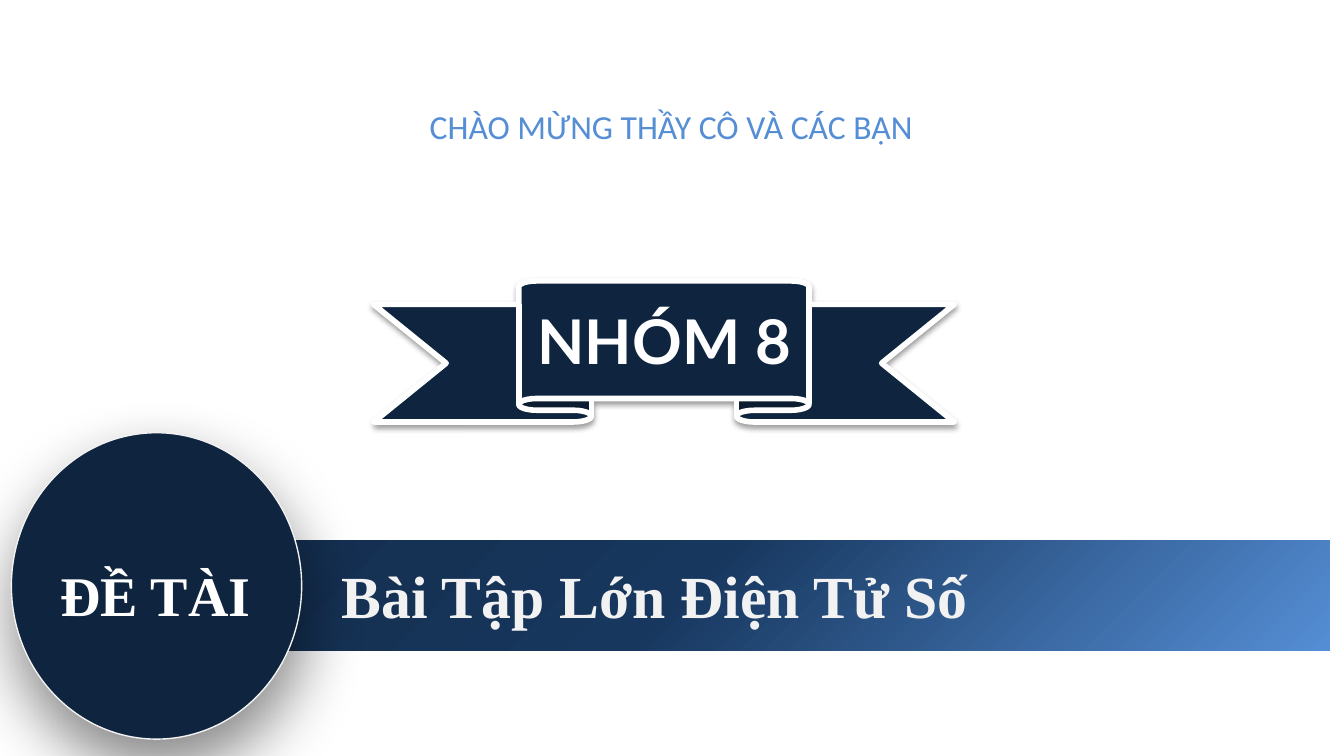
"""Build the welcome slide of group 8 with its ribbon and topic banner."""
from dataclasses import dataclass
from typing import Optional

import pptx
import pptx.dml.color
import pptx.enum.shapes
import pptx.enum.text
import pptx.oxml
import pptx.oxml.ns
import pptx.util

WIDTH = 10
HEIGHT = WIDTH * 9 / 16
NAVY, WHITE, PALE, SKY = "0F243E", "FFFFFF", "F2F2F2", "558ED5"
BANNER_STOPS = ((0, SKY), (61, "17375E"), (100, "142E4F"))
SERIF = "Times New Roman"
KINDS = pptx.enum.shapes.MSO_SHAPE
ALIGN = pptx.enum.text.PP_ALIGN
ANCHOR = pptx.enum.text.MSO_ANCHOR


@dataclass
class Place:
    """A rectangle given in percent of the slide's width and height."""
    left: float
    top: float
    width: float
    height: float

    def lengths(self) -> tuple:
        """Return left, top, width and height as slide lengths."""
        shares = (self.left, self.top, self.width, self.height)
        sizes = (WIDTH, HEIGHT, WIDTH, HEIGHT)
        return tuple(pptx.util.Inches(share * size / 100)
                     for share, size in zip(shares, sizes))


@dataclass
class Shadow:
    """An outer shadow: opacity in percent, blur and distance in points, angle in degrees."""
    opacity: int
    blur: float
    distance: float
    angle: int


@dataclass
class Figure:
    """A preset shape; without a fill it takes the banner gradient."""
    kind: KINDS
    place: Place
    outline: str
    weight: float
    fill: Optional[str] = None
    shadow: Optional[Shadow] = None


@dataclass
class Label:
    """A single line of text."""
    text: str
    place: Place
    font: dict
    colour: str
    align: ALIGN = ALIGN.LEFT
    is_title: bool = False


FIGURES = (
    Figure(KINDS.RECTANGLE, Place(20.6, 71.29, 78.4, 14.93), WHITE, 0.75),
    Figure(KINDS.OVAL, Place(0.85, 57.24, 21.6, 40.53), PALE, 0.75, NAVY,
           Shadow(48, 35, 15, 87)),
    Figure(KINDS.UP_RIBBON, Place(27.8, 37.16, 43.2, 18.67), WHITE, 3, NAVY,
           Shadow(38, 3.1, 1.6, 90)),
)
LABELS = (
    Label("CHÀO MỪNG THẦY CÔ VÀ CÁC BẠN", Place(4.3, 13.16, 91.3, 11.38),
          {"name": "Calibri", "size": pptx.util.Pt(18), "bold": False}, SKY, ALIGN.CENTER),
    Label("ĐỀ TÀI", Place(3.5, 73.3, 16.9, 10.84),
          {"name": SERIF, "size": pptx.util.Pt(30), "bold": True}, WHITE),
    Label("NHÓM 8", Place(39, 39.2, 24.9, 11.73),
          {"name": "Lato", "size": pptx.util.Pt(33), "bold": True}, WHITE),
    Label("Bài Tập Lớn Điện Tử Số", Place(24.4, 54.4, 68.3, 30.58),
          {"name": SERIF, "size": pptx.util.Pt(32), "bold": True}, PALE, is_title=True),
)


def colour_of(value: str) -> pptx.dml.color.RGBColor:
    """Turn a hex string into a colour."""
    return pptx.dml.color.RGBColor.from_string(value)


def element_of(xml: str):
    """Parse drawing XML whose namespace is filled in at the marker."""
    return pptx.oxml.parse_xml(xml.replace("NS", pptx.oxml.ns.nsdecls("a"), 1))


def banner_gradient():
    """Return a gradient that spreads in circles from the bottom right corner."""
    stops = "".join(f'<a:gs pos="{position * 1000}"><a:srgbClr val="{colour}"/></a:gs>'
                    for position, colour in BANNER_STOPS)
    return element_of(f'<a:gradFill NS rotWithShape="1"><a:gsLst>{stops}</a:gsLst>'
                      '<a:path path="circle"><a:fillToRect l="100000" t="100000"/></a:path>'
                      '</a:gradFill>')


def shadow_effect(shadow: Shadow):
    """Return the effect list of an outer shadow."""
    blur, distance = (int(pptx.util.Pt(size)) for size in (shadow.blur, shadow.distance))
    return element_of(f'<a:effectLst NS><a:outerShdw blurRad="{blur}" dist="{distance}" '
                      f'dir="{shadow.angle * 60000}" algn="ctr" rotWithShape="0">'
                      f'<a:srgbClr val="000000"><a:alpha val="{shadow.opacity * 1000}"/>'
                      '</a:srgbClr></a:outerShdw></a:effectLst>')


def draw_figure(page, figure: Figure) -> None:
    """Add a preset shape with its fill, outline and shadow."""
    shape = page.shapes.add_shape(figure.kind, *figure.place.lengths())
    properties = shape.element.spPr
    if figure.fill:
        shape.fill.solid()
        shape.fill.fore_color.rgb = colour_of(figure.fill)
    else:
        properties.insert(2, banner_gradient())
    shape.line.color.rgb = colour_of(figure.outline)
    shape.line.width = pptx.util.Pt(figure.weight)
    shape.shadow.inherit = False
    if figure.shadow:
        effects = properties.find(pptx.oxml.ns.qn("a:effectLst"))
        properties.replace(effects, shadow_effect(figure.shadow))


def draw_label(page, label: Label) -> None:
    """Add a line of text in front, in the title placeholder or in a text box."""
    formats = {"word_wrap": True, "auto_size": pptx.enum.text.MSO_AUTO_SIZE.NONE,
               "vertical_anchor": ANCHOR.TOP}
    if label.is_title:
        box = page.shapes.title
        box.left, box.top, box.width, box.height = label.place.lengths()
        box.element.getparent().append(box.element)
        formats |= {"vertical_anchor": ANCHOR.BOTTOM,
                    "margin_bottom": pptx.util.Inches(0.09)}
    else:
        box = page.shapes.add_textbox(*label.place.lengths())
    frame = box.text_frame
    for name, value in formats.items():
        setattr(frame, name, value)
    para = frame.paragraphs[0]
    para.alignment = label.align
    span = para.add_run()
    span.text = label.text
    for name, value in label.font.items():
        setattr(span.font, name, value)
    span.font.color.rgb = colour_of(label.colour)


def main() -> None:
    """Build and save the deck."""
    deck = pptx.Presentation()
    deck.slide_width = pptx.util.Inches(WIDTH)
    deck.slide_height = pptx.util.Inches(HEIGHT)
    page = deck.slides.add_slide(deck.slide_layouts[5])
    for figure in FIGURES:
        draw_figure(page, figure)
    for label in LABELS:
        draw_label(page, label)
    deck.save("out.pptx")


if __name__ == "__main__":
    main()
